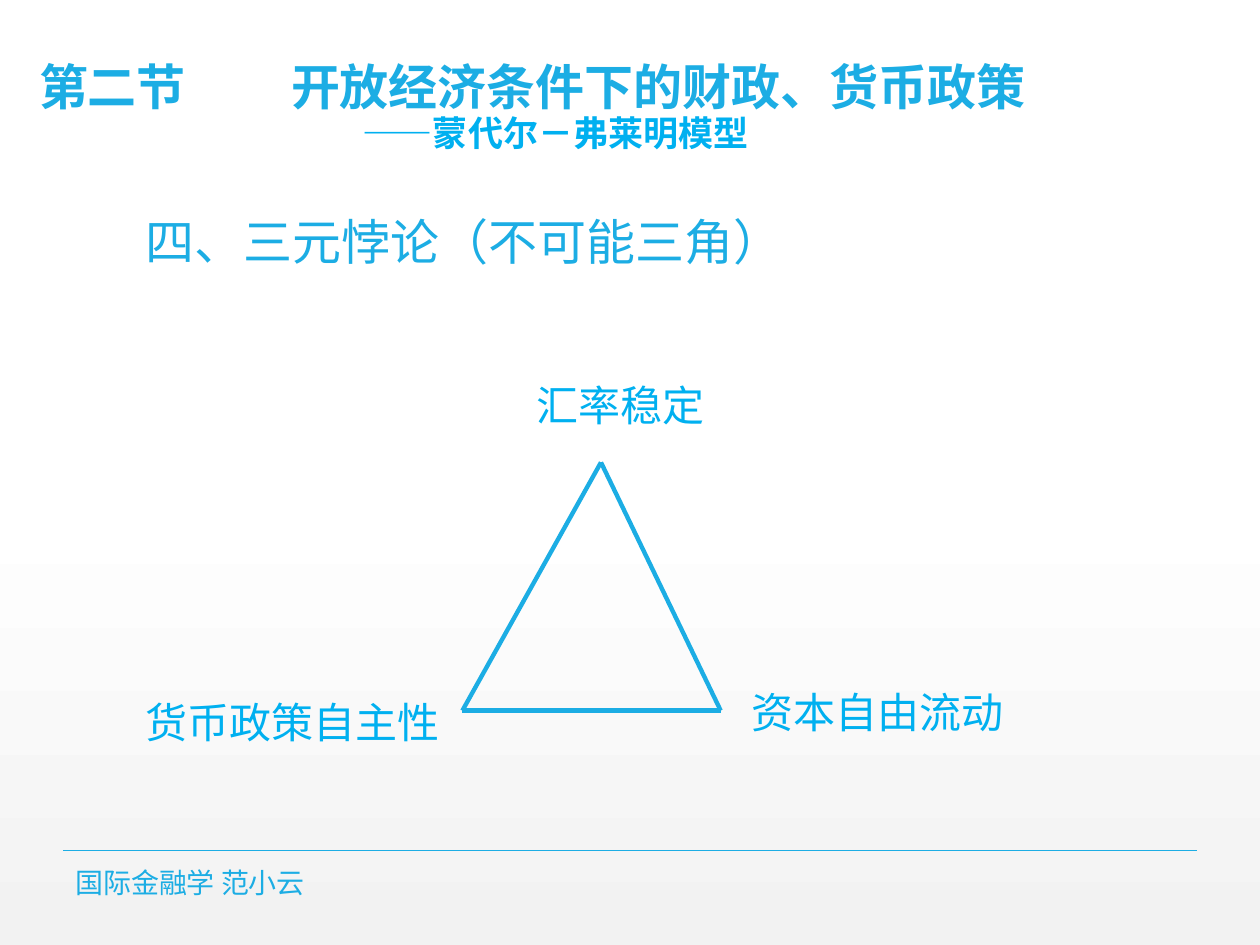
from dataclasses import dataclass

from lxml import etree
from pptx import Presentation
from pptx.dml.color import RGBColor
from pptx.enum.shapes import MSO_CONNECTOR
from pptx.enum.text import MSO_ANCHOR, MSO_AUTO_SIZE, PP_ALIGN
from pptx.oxml.ns import qn
from pptx.util import Inches, Pt

STRAIGHT = MSO_CONNECTOR.STRAIGHT
TOP, MIDDLE, BOTTOM = MSO_ANCHOR.TOP, MSO_ANCHOR.MIDDLE, MSO_ANCHOR.BOTTOM
FIXED, GROW = MSO_AUTO_SIZE.NONE, MSO_AUTO_SIZE.SHAPE_TO_FIT_TEXT
LEFT = PP_ALIGN.LEFT


@dataclass(frozen=True)
class Theme:
    accent: str = "1CADE4"
    bright: str = "00B0F0"
    paper: str = "FFFFFF"
    shade: str = "F2F2F2"
    title_font: str = "Arial"
    body_font: str = "Noto Sans CJK SC"
    label_font: str = "Times New Roman"
    heading: int = 28
    label: int = 24
    subtitle: int = 20
    footer: int = 16


THEME = Theme()
WIDTH, HEIGHT = 10, 7.5
MARGIN = WIDTH / 20
FOOTER_RULE = HEIGHT * 0.9

APEX, LEFT_CORNER, RIGHT_CORNER = (4.77, 3.67), (3.67, 5.64), (5.72, 5.64)
SIDES = [(APEX, RIGHT_CORNER), (APEX, LEFT_CORNER), (RIGHT_CORNER, LEFT_CORNER)]
# text, box, indent
LABELS = [
    ("汇率稳定", (3.66, 2.96, 2.36, 0.5), 0.5),
    ("货币政策自主性", (1.06, 5.48, 2.6, 0.5), 0),
    ("资本自由流动", (5.87, 5.4, 2.36, 0.5), 0),
]


def apply(target, values):
    for name, value in values.items():
        setattr(target, name, value)


def place(shape, box):
    apply(shape, dict(zip(("left", "top", "width", "height"), map(Inches, box))))


def indent(para, margin):
    properties = para._p.get_or_add_pPr()
    properties.set("marL", str(Inches(margin)))
    properties.set("indent", "0")


def add_tab_stop(para, position):
    tabs = etree.SubElement(para._p.get_or_add_pPr(), qn("a:tabLst"))
    etree.SubElement(tabs, qn("a:tab"), pos=str(Inches(position)), algn="l")


def add_span(para, text, font, size, colour, bold=False):
    span = para.add_run()
    span.text = text
    apply(span.font, {"name": font, "size": Pt(size), "bold": bold})
    span.font.color.rgb = RGBColor.from_string(colour)
    # Chinese glyphs follow the East Asian typeface
    etree.SubElement(span._r.get_or_add_rPr(), qn("a:ea"), typeface=THEME.body_font)


def add_text(shapes, text, box, font, size, colour, anchor=TOP, fit=FIXED,
             spacing=1.0, margin=0):
    shape = shapes.add_textbox(*map(Inches, box))
    apply(shape.text_frame, {"word_wrap": True, "vertical_anchor": anchor, "auto_size": fit})
    para = shape.text_frame.paragraphs[0]
    indent(para, margin)
    para.line_spacing = spacing
    add_span(para, text, font, size, colour)


def add_line(shapes, start, end, weight):
    line = shapes.add_connector(STRAIGHT, *map(Inches, start + end))
    line.line.color.rgb = RGBColor.from_string(THEME.accent)
    line.line.width = Pt(weight)
    etree.SubElement(line._element.spPr, qn("a:effectLst"))


def paint_background(page):
    fill = page.background.fill
    fill.gradient()
    fill.gradient_angle = 270
    stops = ((0.53, THEME.paper), (1.0, THEME.shade))
    for stop, (position, colour) in zip(fill.gradient_stops, stops):
        stop.position = position
        stop.color.rgb = RGBColor.from_string(colour)


def write_title(page):
    title = page.shapes.title
    place(title, (0.21, 0.02, WIDTH - 0.21, 1.25))
    frame = title.text_frame
    apply(frame, {"word_wrap": True, "vertical_anchor": BOTTOM, "auto_size": FIXED})
    heading, subtitle = frame.paragraphs[0], frame.add_paragraph()
    add_tab_stop(heading, 2)
    indent(subtitle, 2.57)
    for para in (heading, subtitle):
        apply(para, {"alignment": LEFT, "line_spacing": 0.9, "space_before": Pt(0)})
    add_span(heading, "第二节\t开放经济条件下的财政、货币政策",
             THEME.title_font, THEME.heading, THEME.accent, bold=True)
    add_span(subtitle, "——蒙代尔－弗莱明模型",
             THEME.body_font, THEME.subtitle, THEME.bright, bold=True)


def draw_triangle(page):
    shapes = page.shapes.add_group_shape().shapes
    for start, end in SIDES:
        add_line(shapes, start, end, 2.5)
    for text, box, margin in LABELS:
        add_text(shapes, text, box, THEME.label_font, THEME.label, THEME.bright,
                 fit=GROW, margin=margin)


def main():
    deck = Presentation()
    apply(deck, {"slide_width": Inches(WIDTH), "slide_height": Inches(HEIGHT)})
    page = deck.slides.add_slide(deck.slide_layouts.get_by_name("Title Only"))
    paint_background(page)
    write_title(page)
    add_line(page.shapes, (MARGIN, FOOTER_RULE), (WIDTH - MARGIN, FOOTER_RULE), 1)
    add_text(page.shapes, "四、三元悖论（不可能三角）", (1.06, 1.58, 7.88, 5.3),
             THEME.body_font, THEME.heading, THEME.accent, spacing=1.1)
    add_text(page.shapes, "国际金融学 范小云", (MARGIN, 6.88, 5.03, 0.24),
             THEME.body_font, THEME.footer, THEME.accent, anchor=MIDDLE)
    draw_triangle(page)
    deck.save("out.pptx")


if __name__ == "__main__":
    main()
